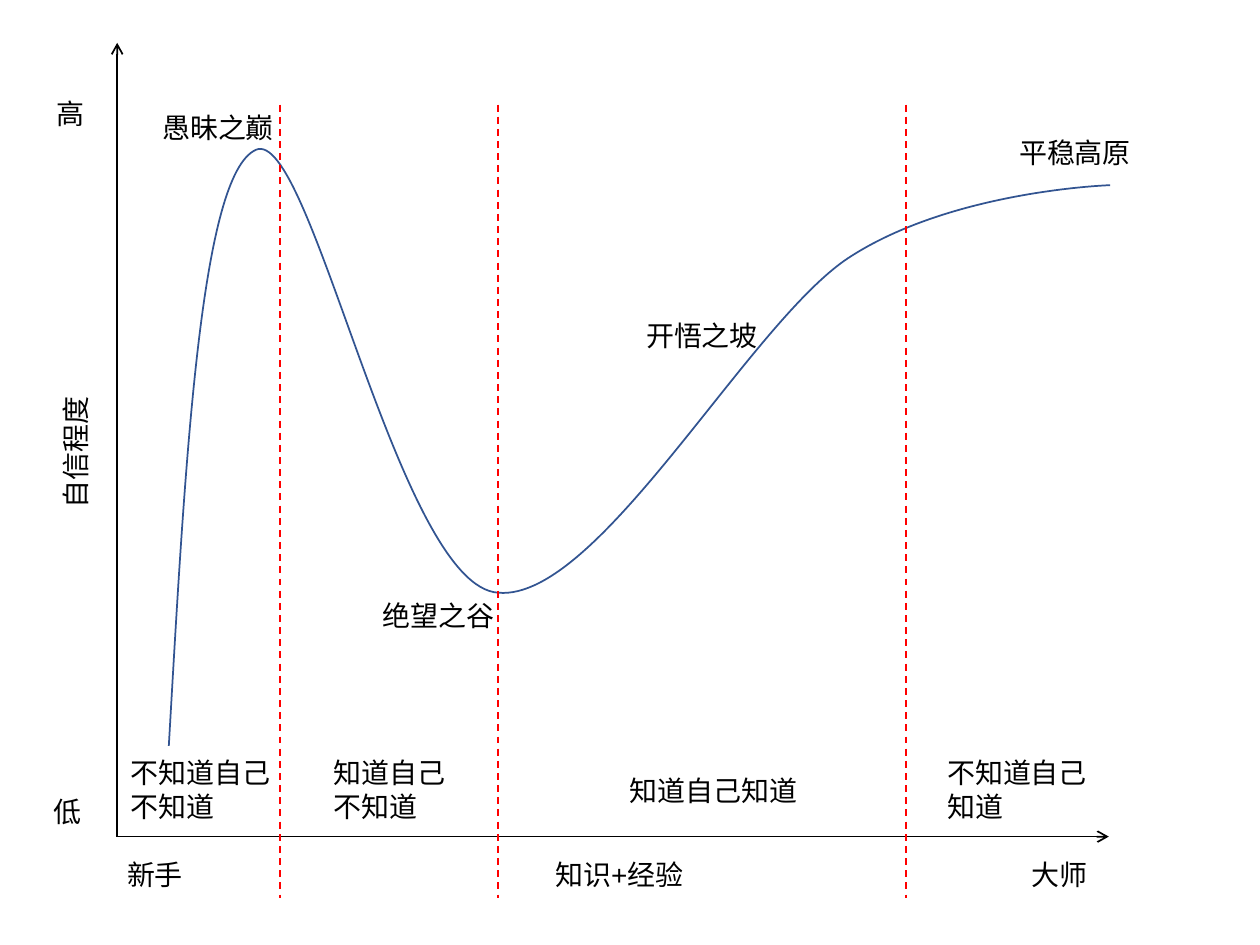
from dataclasses import dataclass

from lxml.etree import SubElement
from pptx import Presentation
from pptx.dml.color import RGBColor
from pptx.enum.dml import MSO_LINE_DASH_STYLE as Dash
from pptx.enum.shapes import MSO_CONNECTOR as Connector
from pptx.enum.text import MSO_AUTO_SIZE as AutoSize
from pptx.oxml.ns import qn
from pptx.util import Inches, Pt


@dataclass(frozen=True)
class Theme:
    font: str = "Arial"
    text_size: int = 16
    line_width: int = 1
    ink: str = "000000"
    curve: str = "325491"
    divider: str = "FF0000"


def format_text(frame, text, *, font, size, color):
    frame.text = text
    style = frame.paragraphs[0].runs[0].font
    style.name = font
    style.size = Pt(size)
    style.color.rgb = RGBColor.from_string(color)


class SlideBuilder:
    def __init__(self, slide, theme):
        self.shapes = slide.shapes.add_group_shape().shapes
        self.theme = theme

    def style_line(self, line, color):
        line.color.rgb = RGBColor.from_string(color)
        line.width = Pt(self.theme.line_width)

    def line(self, start, end, color, dashed=False, arrow=False):
        connector = self.shapes.add_connector(
            Connector.STRAIGHT, *(Inches(v) for v in (*start, *end)))
        self.style_line(connector.line, color)
        if dashed:
            connector.line.dash_style = Dash.DASH
        if arrow:
            SubElement(connector.line._get_or_add_ln(), qn("a:tailEnd"), type="arrow")
        SubElement(connector._element.spPr, qn("a:effectLst"))

    def label(self, text, left, top, width, height=0.37, rotation=0):
        box = self.shapes.add_textbox(*(Inches(v) for v in (left, top, width, height)))
        box.rotation = rotation
        frame = box.text_frame
        frame.word_wrap = True
        frame.auto_size = AutoSize.SHAPE_TO_FIT_TEXT
        format_text(frame, text, font=self.theme.font,
                    size=self.theme.text_size, color=self.theme.ink)

    def curve(self, start, segments, color):
        outline = self.shapes.build_freeform(*(Inches(v) for v in start))
        outline.add_line_segments(
            [(Inches(x), Inches(y)) for *_, (x, y) in segments], close=False)
        shape = outline.convert_to_shape()
        shape.fill.background()
        shape.shadow.inherit = False
        self.style_line(shape.line, color)

        # Bend each straight segment into a cubic Bezier
        straights = list(shape._element.iter(qn("a:lnTo")))
        for straight, segment in zip(straights, segments):
            bend = straight.makeelement(qn("a:cubicBezTo"))
            for x, y in segment:
                SubElement(bend, qn("a:pt"), x=str(Inches(x) - shape.left),
                           y=str(Inches(y) - shape.top))
            straight.getparent().replace(straight, bend)


def main():
    theme = Theme()
    deck = Presentation()
    deck.slide_width, deck.slide_height = Inches(10), Inches(7.5)
    chart = SlideBuilder(deck.slides.add_slide(deck.slide_layouts[6]), theme)

    # Axes
    origin = (0.93, 6.64)
    for axis_end in ((8.8, 6.64), (0.93, 0.34)):
        chart.line(origin, axis_end, theme.ink, arrow=True)

    # Axis titles and end labels
    chart.label("自信程度", -0.04, 3.31, 1.28, rotation=270)
    experience_top = 6.76
    for text, left, top, width in (
        ("知识+经验", 4.31, experience_top, 1.27),
        ("高", 0.35, 0.72, 0.44),
        ("低", 0.33, 6.26, 0.47),
        ("新手", 0.91, experience_top, 0.78),
        ("大师", 8.09, experience_top, 0.81),
    ):
        chart.label(text, left, top, width)

    # Confidence curve: peak, valley, slope, plateau
    chart.curve((1.34, 5.92), [
        ((1.47, 3.66), (1.59, 1.39), (2.03, 1.19)),
        ((2.46, 0.99), (3.14, 4.55), (3.92, 4.7)),
        ((4.71, 4.84), (5.92, 2.59), (6.73, 2.05)),
        ((7.55, 1.51), (8.81, 1.47), (8.81, 1.47)),
    ], theme.curve)

    # Stage dividers
    for x in (2.22, 3.95, 7.19):
        chart.line((x, 0.83), (x, 7.13), theme.divider, dashed=True)

    # Peak label
    landmark_width = 1.27
    chart.label("愚昧之巅", 1.19, 0.83, landmark_width)

    # Awareness stages
    for text, left, top, width, height in (
        ("不知道自己不知道", 0.94, 5.95, 1.35, 0.64),
        ("知道自己不知道", 2.55, 5.95, 1.23, 0.64),
        ("知道自己知道", 4.9, 6.09, 1.57, 0.37),
        ("不知道自己知道", 7.42, 5.95, 1.33, 0.64),
    ):
        chart.label(text, left, top, width, height)

    # Landmarks after the peak
    for text, left, top in (
        ("绝望之谷", 2.94, 4.7),
        ("开悟之坡", 5.03, 2.48),
        ("平稳高原", 7.99, 1.03),
    ):
        chart.label(text, left, top, landmark_width)

    deck.save("out.pptx")


if __name__ == "__main__":
    main()
